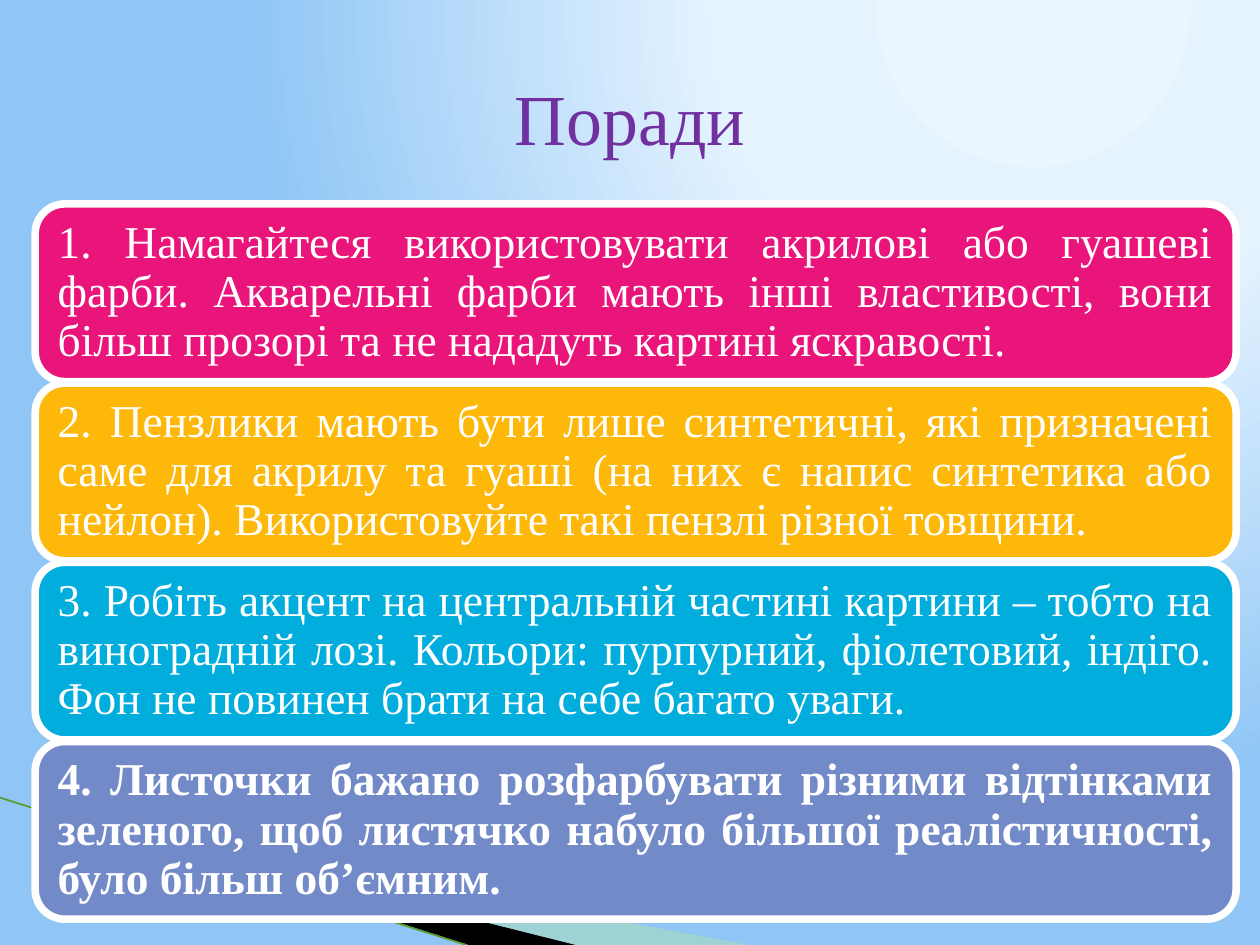
from lxml import etree
from pptx import Presentation
from pptx.dml.color import RGBColor
from pptx.enum.shapes import MSO_CONNECTOR, MSO_SHAPE
from pptx.enum.text import MSO_ANCHOR, PP_ALIGN
from pptx.oxml import parse_xml
from pptx.oxml.ns import qn
from pptx.util import Cm, Pt

ROUNDED = MSO_SHAPE.ROUNDED_RECTANGLE
STRAIGHT = MSO_CONNECTOR.STRAIGHT
MIDDLE = MSO_ANCHOR.MIDDLE
CENTER, JUSTIFY = PP_ALIGN.CENTER, PP_ALIGN.JUSTIFY

FONT = "Times New Roman"
WHITE = RGBColor(0xFF, 0xFF, 0xFF)
BLACK = RGBColor(0x00, 0x00, 0x00)
PURPLE = RGBColor(0x70, 0x30, 0xA0)
PINK = RGBColor(0xEA, 0x15, 0x7A)
AMBER = RGBColor(0xFE, 0xB8, 0x0A)
CYAN = RGBColor(0x00, 0xAD, 0xDC)
PERIWINKLE = RGBColor(0x73, 0x8A, 0xC8)
PALE_GREEN = RGBColor(0xB8, 0xE7, 0xA1)
LEAF_GREEN = RGBColor(0x5A, 0x9B, 0x2A)
GLOW_STOPS = (
    (0, RGBColor(0xEA, 0xF5, 0xFF)),
    (40, RGBColor(0xE5, 0xF3, 0xFF)),
    (100, RGBColor(0x8F, 0xC6, 0xF5)),
)

TIPS = (
    (PINK, False, "1. Намагайтеся використовувати акрилові або гуашеві фарби. "
     "Акварельні фарби мають інші властивості, вони більш прозорі та не "
     "нададуть картині яскравості."),
    (AMBER, False, "2. Пензлики мають бути лише синтетичні, які призначені саме "
     "для акрилу та гуаші (на них є напис синтетика або нейлон). "
     "Використовуйте такі пензлі різної товщини."),
    (CYAN, False, "3. Робіть акцент на центральній частині картини – тобто на "
     "виноградній лозі. Кольори: пурпурний, фіолетовий, індіго. Фон не "
     "повинен брати на себе багато уваги."),
    (PERIWINKLE, True, "4. Листочки бажано розфарбувати різними відтінками "
     "зеленого, щоб листячко набуло більшої реалістичності, було більш "
     "об’ємним."),
)


def paint_background(page):
    """Fill the page with a radial glow centred near its upper right."""
    page.background.fill.gradient()
    gradient = page.element.find(".//" + qn("a:gradFill"))
    stops = "".join(
        f'<a:gs pos="{percent * 1000}"><a:srgbClr val="{color}"/></a:gs>'
        for percent, color in GLOW_STOPS
    )
    glow = parse_xml(
        '<a:gradFill xmlns:a="http://schemas.openxmlformats.org/drawingml/2006/main"'
        f' rotWithShape="1"><a:gsLst>{stops}</a:gsLst><a:path path="circle">'
        '<a:fillToRect l="65000" t="0" r="0" b="98000"/></a:path></a:gradFill>'
    )
    gradient.getparent().replace(gradient, glow)


def add_blade(page, left, top, points, color, opacity=100):
    """Draw a filled outline; points are centimetres from left and top."""
    corners = [(Cm(left + x), Cm(top + y)) for x, y in points]
    builder = page.shapes.build_freeform(*corners[0])
    builder.add_line_segments(corners[1:], close=True)
    blade = builder.convert_to_shape()
    blade.shadow.inherit = False
    blade.fill.solid()
    blade.fill.fore_color.rgb = color
    blade.line.fill.background()
    if opacity < 100:
        value = blade.fill._xPr.find(".//" + qn("a:srgbClr"))
        etree.SubElement(value, qn("a:alpha"), val=str(opacity * 1000))


def add_corner_sweep(page, left, top, height):
    add_blade(page, left + 1.4, top + 0.43,
              ((0, 0), (13.7, height - 0.43), (10.2, height - 0.43)),
              PALE_GREEN, opacity=40)
    add_blade(page, left + 1.35, top + 0.4,
              ((0, 0), (10.25, height - 0.4), (8.1, height - 0.4)), BLACK)
    edge = page.shapes.add_connector(
        STRAIGHT, Cm(left), Cm(top), Cm(left + 9.4), Cm(top + height))
    edge.line.color.rgb = LEAF_GREEN
    edge.line.width = Pt(0.95)
    etree.SubElement(edge._element.spPr, qn("a:effectLst"))


def write_text(box, text, size, color, alignment, bold=False):
    frame = box.text_frame
    frame.word_wrap = True
    frame.vertical_anchor = MIDDLE
    para = frame.paragraphs[0]
    para.text = text
    para.alignment = alignment
    para.font.name = FONT
    para.font.size = Pt(size)
    para.font.bold = bold
    para.font.color.rgb = color
    return frame


def add_title(page, left, top, width, height):
    box = page.shapes.add_textbox(Cm(left), Cm(top), Cm(width), Cm(height))
    write_text(box, "Поради", 41, PURPLE, CENTER)


def add_tips(page, left, top, width, height, gap=0.03):
    """Stack the tips as equal cards that together fill the given height."""
    card_height = (height - gap * (len(TIPS) - 1)) / len(TIPS)
    for index, (color, bold, text) in enumerate(TIPS):
        card_top = top + index * (card_height + gap)
        card = page.shapes.add_shape(
            ROUNDED, Cm(left), Cm(card_top), Cm(width), Cm(card_height))
        card.shadow.inherit = False
        card.fill.solid()
        card.fill.fore_color.rgb = color
        card.line.color.rgb = WHITE
        card.line.width = Pt(4.33)
        frame = write_text(card, text, 26, WHITE, JUSTIFY, bold)
        frame.margin_left = frame.margin_right = Cm(0.28)
        frame.margin_top = frame.margin_bottom = Cm(0.28)
        frame.paragraphs[0].line_spacing = 0.9


def main():
    deck = Presentation()
    deck.slide_width, deck.slide_height = Cm(25.4), Cm(19.05)
    page = deck.slides.add_slide(deck.slide_layouts[6])
    paint_background(page)
    add_corner_sweep(page, 0, 16.08, 2.97)
    add_tips(page, 0.71, 4.11, 24.21, 14.42)
    add_title(page, 1.27, 0.76, 22.86, 3.18)
    deck.save("out.pptx")


if __name__ == "__main__":
    main()
